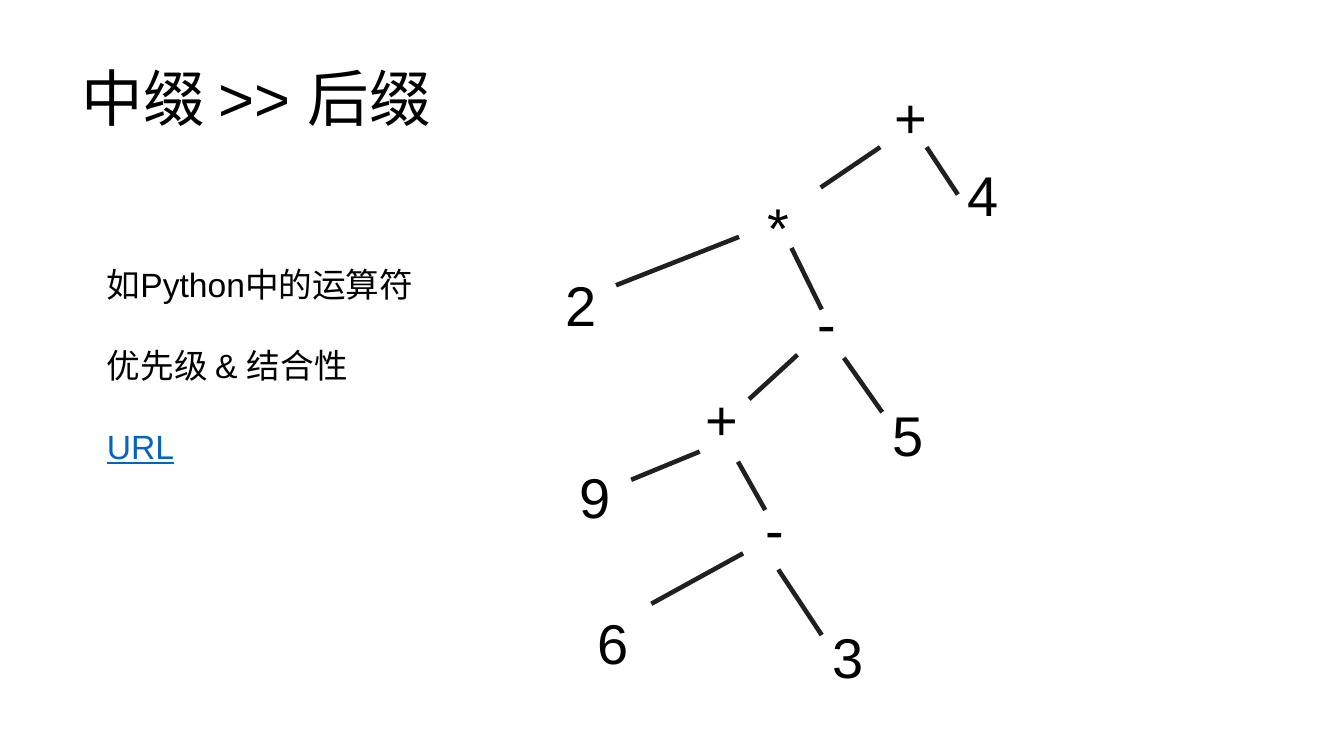
from lxml import etree
from pptx import Presentation
from pptx.dml.color import RGBColor
from pptx.enum.shapes import MSO_CONNECTOR
from pptx.enum.text import MSO_ANCHOR, MSO_AUTO_SIZE, PP_ALIGN
from pptx.oxml.ns import qn
from pptx.util import Inches, Pt

STRAIGHT = MSO_CONNECTOR.STRAIGHT
TOP, MIDDLE = MSO_ANCHOR.TOP, MSO_ANCHOR.MIDDLE
LEFT = PP_ALIGN.LEFT
NO_FIT = MSO_AUTO_SIZE.NONE
BLACK, BRANCH_GREY, LINK_BLUE = "000000", "202020", "0563C1"


def set_text(paragraph, text, size, color=BLACK, **extra):
    """Write one Arial run, with any extra font values."""
    run = paragraph.add_run()
    run.text = text
    run.font.color.rgb = RGBColor.from_string(color)
    for key, value in {"name": "Arial", "size": Pt(size), **extra}.items():
        setattr(run.font, key, value)


def place(shape, left, top, width, height, anchor=TOP):
    """Position a text shape and give its frame wrapping and an anchor."""
    box = {"left": left, "top": top, "width": width, "height": height}
    for key, value in box.items():
        setattr(shape, key, Inches(value))
    frame_format = {"word_wrap": True, "auto_size": NO_FIT, "vertical_anchor": anchor}
    for key, value in frame_format.items():
        setattr(shape.text_frame, key, value)


prs = Presentation()
prs.slide_width, prs.slide_height = Inches(13.33), Inches(7.5)
slide = prs.slides.add_slide(prs.slide_layouts[1])
title, notes = slide.placeholders

# Title
place(title, 0.71, 0.28, 11.5, 1.45, MIDDLE)
heading = title.text_frame.paragraphs[0]
heading.alignment, heading.line_spacing = LEFT, 0.9
set_text(heading, "中缀 >> 后缀", 44)

# Points about operators
place(notes, 0.96, 2.57, 3.24, 2.12)
points = [
    ("如Python中的运算符", {}),
    ("优先级 & 结合性", {}),
    ("URL", {"color": LINK_BLUE, "underline": True}),
]
for index, (text, look) in enumerate(points):
    frame = notes.text_frame
    point = frame.add_paragraph() if index else frame.paragraphs[0]
    spacing = {"line_spacing": 1.0, "space_before": Pt(29 if index else 0), "alignment": LEFT}
    for key, value in spacing.items():
        setattr(point, key, value)
    properties = point._p.get_or_add_pPr()
    properties.set("marL", "0")
    properties.set("indent", "0")
    etree.SubElement(properties, qn("a:buNone"))
    set_text(point, text, 24, **look)

# Expression tree: symbol, left, top
tree_nodes = [
    ("+", 8.77, 0.77), ("4", 9.5, 1.54), ("*", 7.51, 1.86), ("-", 8.01, 2.81),
    ("5", 8.75, 3.92), ("+", 6.9, 3.77), ("9", 5.65, 4.54), ("2", 5.51, 2.63),
    ("-", 7.49, 4.86), ("6", 5.83, 5.99), ("3", 8.16, 6.13),
]
for symbol, left, top in tree_nodes:
    node = slide.shapes.add_textbox(0, 0, 0, 0)
    place(node, left, top, 1.26, 0.77)
    set_text(node.text_frame.paragraphs[0], symbol, 40)

# Branches from parent to child: x1, y1, x2, y2
branches = [
    (8.73, 1.46, 8.14, 1.86), (9.19, 1.46, 9.5, 1.93),
    (7.33, 2.35, 6.11, 2.83), (7.85, 2.46, 8.15, 3.07),
    (7.91, 3.52, 7.43, 3.96), (8.37, 3.55, 8.75, 4.09),
    (6.94, 4.48, 6.26, 4.76), (7.32, 4.58, 7.59, 5.06),
    (7.37, 5.49, 6.46, 5.99), (7.72, 5.65, 8.15, 6.3),
]
for ends in branches:
    branch = slide.shapes.add_connector(STRAIGHT, *map(Inches, ends))
    branch.line.color.rgb = RGBColor.from_string(BRANCH_GREY)
    branch.line.width = Pt(3.25)
    etree.SubElement(branch._element.spPr, qn("a:effectLst"))

prs.save("out.pptx")
